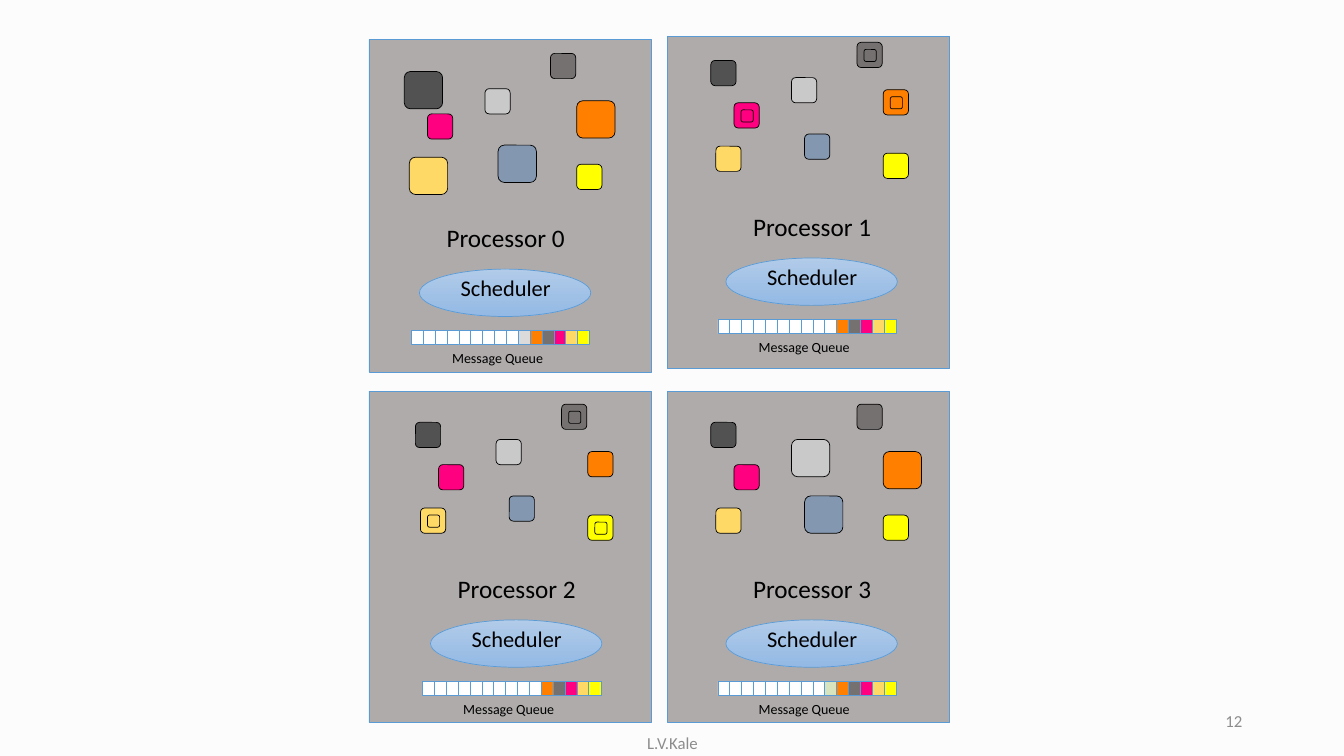
from pptx import Presentation
from pptx import util as u
from pptx.dml.color import RGBColor
from pptx.enum import shapes, text

BACK = RGBColor(0xFC, 0xFC, 0xFC)
PANEL = RGBColor(0xAF, 0xAB, 0xAB)
EDGE = RGBColor(0x5B, 0x9B, 0xD5)
BLACK = RGBColor(0, 0, 0)
WHITE = RGBColor(0xFF, 0xFF, 0xFF)
MUTED = RGBColor(0x8C, 0x8C, 0x8C)
DARK = RGBColor(0x52, 0x52, 0x52)
GREY = RGBColor(0x76, 0x71, 0x71)
LIGHT = RGBColor(0xC9, 0xC9, 0xC9)
PINK = RGBColor(0xFF, 0x00, 0x80)
SAND = RGBColor(0xFF, 0xD9, 0x66)
BLUE = RGBColor(0x84, 0x97, 0xB0)
ORANGE = RGBColor(0xFF, 0x80, 0x00)
YELLOW = RGBColor(0xFF, 0xFF, 0x00)
PALE = RGBColor(0xDB, 0xDB, 0xDB)
GREEN = RGBColor(0xD7, 0xE4, 0xBD)
OVAL = (RGBColor(0xB1, 0xCB, 0xE9), RGBColor(0x93, 0xB9, 0xE4))

# Each processor: panel box, origin of its contents, large objects,
# objects holding an inner one, and the extra message in the queue
NODES = [
    dict(name="Processor 0", panel=(3.66, 0.39, 2.8, 3.3), at=(4.06, 2.16),
         large=(DARK, SAND, BLUE, ORANGE), nested=(), extra=PALE),
    dict(name="Processor 1", panel=(6.62, 0.36, 2.8, 3.3), at=(7.1, 2.05),
         large=(), nested=(GREY, PINK, ORANGE), extra=WHITE),
    dict(name="Processor 2", panel=(3.66, 3.88, 2.8, 3.29), at=(4.17, 5.64),
         large=(), nested=(GREY, SAND, YELLOW), extra=WHITE),
    dict(name="Processor 3", panel=(6.62, 3.88, 2.8, 3.29), at=(7.1, 5.64),
         large=(LIGHT, BLUE, ORANGE), nested=(), extra=GREEN),
]

# Objects, placed relative to a processor's origin
ITEMS = [
    (DARK, -0.05, -1.45), (GREY, 1.4, -1.63), (LIGHT, 0.75, -1.28),
    (PINK, 0.18, -1.03), (SAND, 0, -0.6), (BLUE, 0.88, -0.72),
    (ORANGE, 1.66, -1.16), (YELLOW, 1.66, -0.53),
]
TAIL = [ORANGE, GREY, PINK, SAND, YELLOW]
SLOTS = 15
PITCH = 1.65 / (SLOTS - 1)

# Labels, placed relative to a processor's origin
NAME = (0, 0, 1.91, 0.4)
SCHED = (0, 0.51, 1.91, 0.37)
QUEUE = (-0.03, 1.26, 1.81, 0.27)

FOOTER = [
    ("L.V.Kale", (4.42, 7.17, 4.5, 0.4), text.PP_ALIGN.CENTER),
    ("12", (9.42, 6.95, 3, 0.4), text.PP_ALIGN.RIGHT),
]

RECT = shapes.MSO_SHAPE.RECTANGLE
ROUND = shapes.MSO_SHAPE.ROUNDED_RECTANGLE
ELLIPSE = shapes.MSO_SHAPE.OVAL


def inches(box):
    return [u.Inches(v) for v in box]


def shift(box, at):
    return (box[0] + at[0], box[1] + at[1], box[2], box[3])


def draw(home, kind, box, fill, line=EDGE):
    shape = home.add_shape(kind, *inches(box))
    shape.shadow.inherit = False
    if isinstance(fill, tuple) and not isinstance(fill, RGBColor):
        shape.fill.gradient()
        shape.fill.gradient_angle = 270
        for stop, color in zip(shape.fill.gradient_stops, fill):
            stop.color.rgb = color
    else:
        shape.fill.solid()
        shape.fill.fore_color.rgb = fill
    shape.line.color.rgb = line
    shape.line.width = u.Pt(0.5)


def write(home, words, box, size, color=BLACK, align=text.PP_ALIGN.CENTER,
          anchor=text.MSO_ANCHOR.TOP):
    frame = home.add_textbox(*inches(box)).text_frame
    for key, value in dict(word_wrap=True, vertical_anchor=anchor).items():
        setattr(frame, key, value)
    para = frame.paragraphs[0]
    para.alignment = align
    run = para.add_run()
    run.text = words
    for key, value in dict(name="Calibri", size=u.Pt(size)).items():
        setattr(run.font, key, value)
    run.font.color.rgb = color


def queue(home, at, extra):
    group = home.add_group_shape().shapes
    draw(group, RECT, shift((0.05, 1.12, 1.74, 0.14), at), WHITE)
    cells = [WHITE] * (SLOTS - len(TAIL) - 1) + [extra] + TAIL
    for i, color in enumerate(cells):
        draw(group, RECT, shift((0.02 + i * PITCH, 1.12, 0.12, 0.14), at), color)


def node(home, name, at, large, nested, extra):
    for color, x, y in ITEMS:
        size = (0.38, 0.37) if color in large else (0.25, 0.25)
        draw(home, ROUND, shift((x, y, *size), at), color, BLACK)
        if color in nested:
            inner = (x + 0.07, y + 0.07, 0.12, 0.12)
            draw(home, ROUND, shift(inner, at), color, BLACK)
    write(home, name, shift(NAME, at), 18)
    draw(home, ELLIPSE, shift((0.1, 0.51, 1.7, 0.47), at), OVAL)
    write(home, "Scheduler", shift(SCHED, at), 16)
    queue(home, at, extra)
    write(home, "Message Queue", shift(QUEUE, at), 10)


def main():
    deck = Presentation()
    deck.slide_width, deck.slide_height = u.Inches(13.33), u.Inches(7.5)
    slide = deck.slides.add_slide(deck.slide_layouts[6])
    slide.background.fill.solid()
    slide.background.fill.fore_color.rgb = BACK
    home = slide.shapes

    # Processors
    for item in NODES:
        draw(home, RECT, item["panel"], PANEL)
        node(home, *(item[k] for k in ("name", "at", "large", "nested", "extra")))

    # Footer
    for words, box, align in FOOTER:
        write(home, words, box, 12, MUTED, align, text.MSO_ANCHOR.MIDDLE)

    deck.save("out.pptx")


if __name__ == "__main__":
    main()
